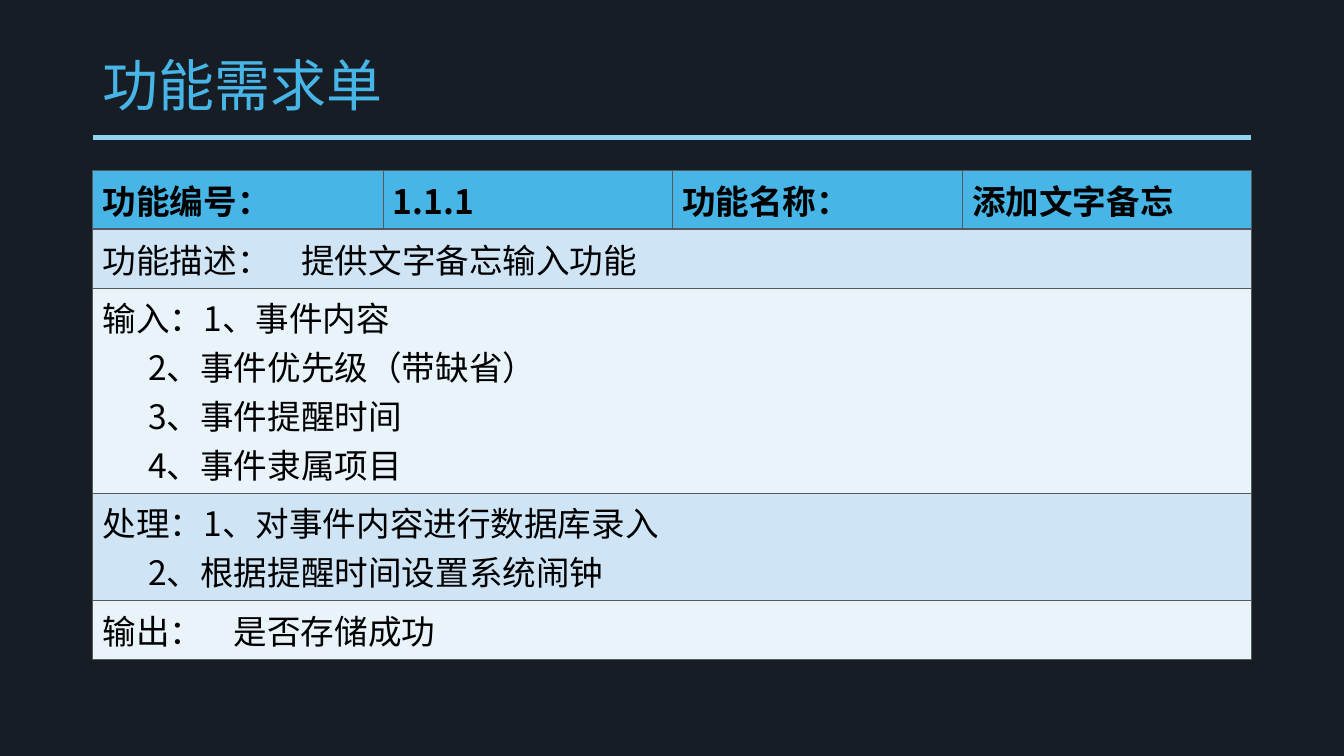
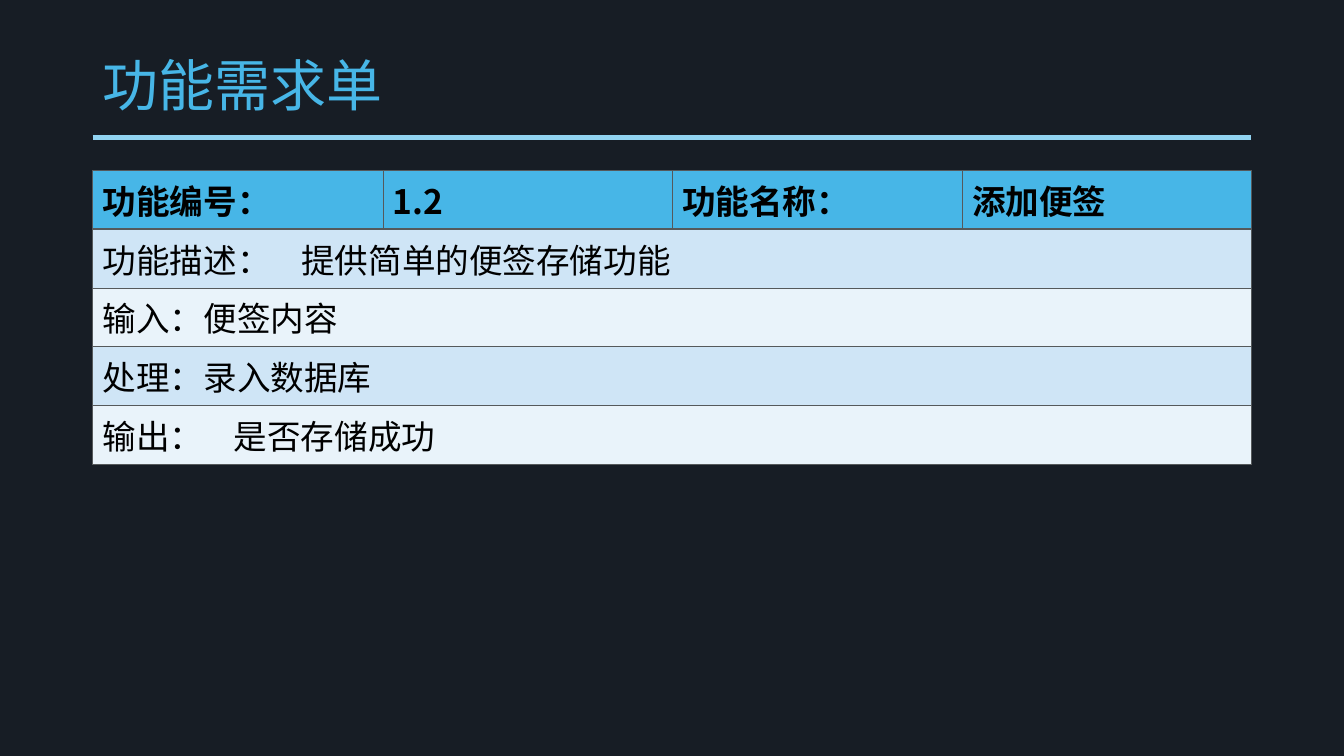
from dataclasses import dataclass

from lxml.etree import SubElement
from pptx import Presentation
from pptx.dml.color import RGBColor
from pptx.enum.shapes import MSO_CONNECTOR
from pptx.enum.text import MSO_ANCHOR
from pptx.oxml import parse_xml
from pptx.oxml.ns import nsdecls, qn
from pptx.util import Emu, Pt

COLORS = {
    "background": "171D25",
    "accent": "47B6E7",
    "rule": "91D3F1",
    "band_dark": "CFE5F6",
    "band_light": "E9F3FA",
    "border": "55595B",
    "text": "000000",
}
TITLE_FONT = "Arial"
TABLE_FONT = "Noto Sans CJK SC"
TABLE_SIZE, LINE_RATIO = 24, 1.45
LEFT, WIDTH = 92, 1150
TITLE_TOP, TITLE_HEIGHT = 40, 95
RULE_TOP = 136
TABLE_TOP = 169
COLUMN_WIDTHS = (288, 287, 288, 287)
CELL_PADDING = 10
LIST_INDENT = 45
THIN, THICK = 0.45, 1.47


@dataclass(frozen=True)
class Line:
    text: str
    indent: int = 0
    tab: int = 0


@dataclass(frozen=True)
class Requirement:
    number: str
    name: str
    description: str
    inputs: list[Line]
    process: list[Line]


REQUIREMENTS = [
    Requirement(
        "1.1.1", "添加文字备忘", "提供文字备忘输入功能",
        [Line("输入：1、事件内容"),
         Line("2、事件优先级（带缺省）", indent=LIST_INDENT),
         Line("3、事件提醒时间", indent=LIST_INDENT),
         Line("4、事件隶属项目", indent=LIST_INDENT)],
        [Line("处理：1、对事件内容进行数据库录入"),
         Line("2、根据提醒时间设置系统闹钟", indent=LIST_INDENT)],
    ),
    Requirement(
        "1.2", "添加便签", "提供简单的便签存储功能",
        [Line("输入：便签内容")],
        [Line("处理：录入数据库")],
    ),
]


def px(length: int) -> Emu:
    """One px is a hundredth of an inch."""
    return Emu(length * 9144)


def row_height(line_count: int) -> Emu:
    """Room for the lines of text and the padding above and below."""
    return Emu(Pt(TABLE_SIZE * LINE_RATIO) * line_count + px(CELL_PADDING))


def color(name: str) -> RGBColor:
    return RGBColor.from_string(COLORS[name])


def add_span(para, text: str, *, font: str, size: int, ink: str,
             bold: bool = False) -> None:
    span = para.add_run()
    span.text = text
    span.font.name = font
    span.font.size = Pt(size)
    span.font.bold = bold
    span.font.color.rgb = color(ink)
    SubElement(span.font._element, qn("a:ea"), typeface=font)


def set_borders(cell, top: float, bottom: float) -> None:
    properties = cell._tc.get_or_add_tcPr()
    sides = {"lnL": THIN, "lnR": THIN, "lnT": top, "lnB": bottom}
    for index, (side, width) in enumerate(sides.items()):
        properties.insert(index, parse_xml(
            f'<a:{side} {nsdecls("a")} w="{Pt(width)}"><a:solidFill>'
            f'<a:srgbClr val="{COLORS["border"]}"/></a:solidFill></a:{side}>'))


def fill_cell(cell, lines: list[Line], *, bold: bool = False) -> None:
    frame = cell.text_frame
    for index, line in enumerate(lines):
        para = frame.add_paragraph() if index else frame.paragraphs[0]
        properties = para._p.get_or_add_pPr()
        if line.indent:
            properties.set("marL", str(px(line.indent)))
        if line.tab:
            stops = SubElement(properties, qn("a:tabLst"))
            SubElement(stops, qn("a:tab"), pos=str(px(line.tab)), algn="l")
        add_span(para, line.text, font=TABLE_FONT, size=TABLE_SIZE,
                 ink="text", bold=bold)


def add_heading(page, text: str) -> None:
    # Rule under the title
    rule = page.shapes.add_connector(
        MSO_CONNECTOR.STRAIGHT, px(LEFT), px(RULE_TOP),
        px(LEFT + WIDTH), px(RULE_TOP))
    rule.line.color.rgb = color("rule")
    rule.line.width = Pt(3.5)
    SubElement(rule._element.spPr, qn("a:effectLst"))
    # Title
    box = page.shapes.add_textbox(
        px(LEFT), px(TITLE_TOP), px(WIDTH), px(TITLE_HEIGHT))
    frame = box.text_frame
    frame.word_wrap = True
    frame.vertical_anchor = MSO_ANCHOR.MIDDLE
    para = frame.paragraphs[0]
    para.line_spacing = 0.9
    add_span(para, text, font=TITLE_FONT, size=40, ink="accent")


def add_requirement_table(page, item: Requirement) -> None:
    header = ["功能编号：", item.number, "功能名称：", item.name]
    body = [
        [Line(f"功能描述：\t{item.description}", tab=197)],
        item.inputs,
        item.process,
        [Line("输出：\t是否存储成功", tab=130)],
    ]
    heights = [row_height(1)] + [row_height(len(lines)) for lines in body]
    table = page.shapes.add_table(
        len(heights), len(COLUMN_WIDTHS), px(LEFT), px(TABLE_TOP),
        px(WIDTH), Emu(sum(heights))).table
    table.first_row = table.horz_banding = False
    for column, width in zip(table.columns, COLUMN_WIDTHS):
        column.width = px(width)

    # Fills and borders
    for index, (row, height) in enumerate(zip(table.rows, heights)):
        row.height = height
        band = "band_dark" if index % 2 else "band_light"
        for cell in row.cells:
            cell.fill.solid()
            cell.fill.fore_color.rgb = color(band if index else "accent")
            set_borders(cell, top=THICK if index == 1 else THIN,
                        bottom=THIN if index else THICK)

    # Text
    for index, text in enumerate(header):
        fill_cell(table.cell(0, index), [Line(text)], bold=True)
    for index, lines in enumerate(body, start=1):
        cell = table.cell(index, 0)
        cell.merge(table.cell(index, len(COLUMN_WIDTHS) - 1))
        fill_cell(cell, lines)


def main() -> None:
    deck = Presentation()
    deck.slide_width, deck.slide_height = px(1334), px(750)
    background = deck.slide_master.background.fill
    background.solid()
    background.fore_color.rgb = color("background")
    for item in REQUIREMENTS:
        page = deck.slides.add_slide(deck.slide_layouts[6])
        add_heading(page, "功能需求单")
        add_requirement_table(page, item)
    deck.save("out.pptx")


if __name__ == "__main__":
    main()
